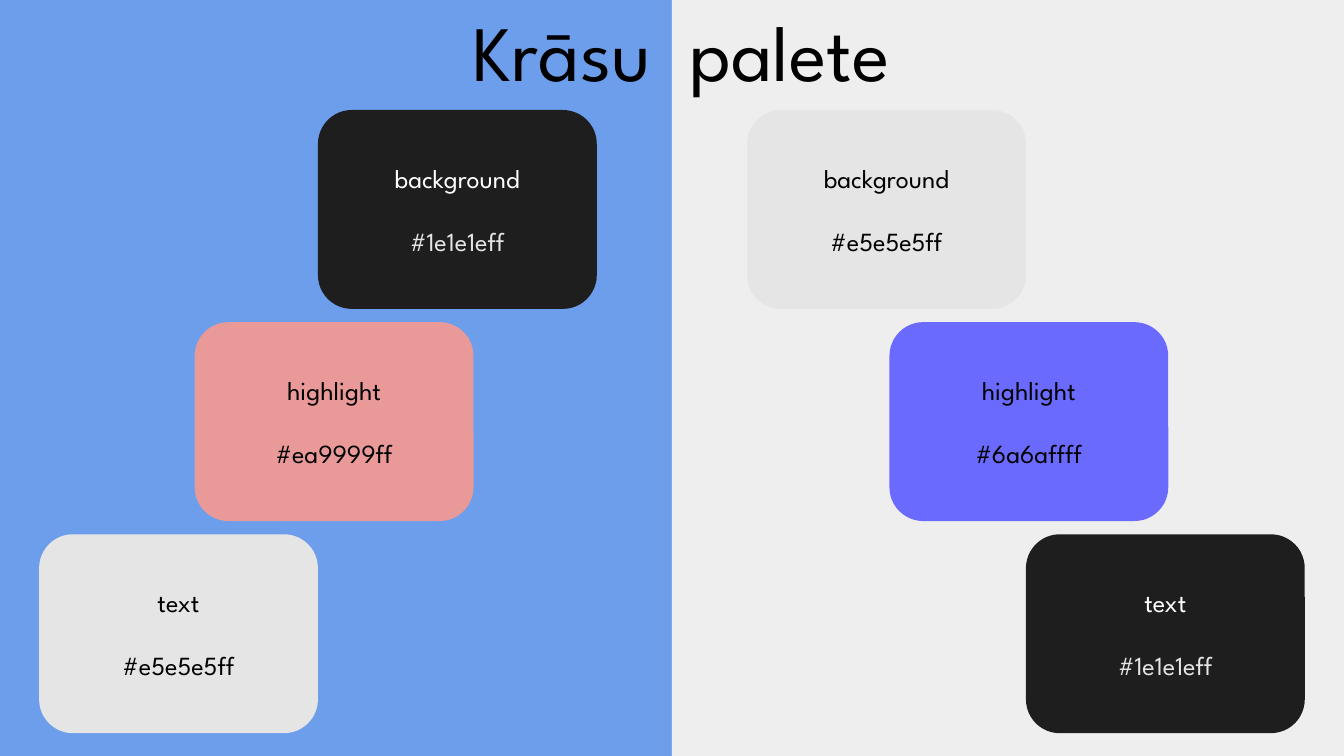
"""Build the colour palette slide with a dark and a light theme side by side."""
from pptx import Presentation
from pptx import util as u
from pptx.dml.color import RGBColor
from pptx.enum import shapes, text

COLOURS = {
    "blue": "6D9EEB", "pale": "EEEEEE", "black": "000000", "white": "FFFFFF",
    "dark": "1E1E1E", "light": "E5E5E5", "pink": "EA9999", "violet": "6A6AFF",
}
FONT = "League Spartan"
TITLE = ("Krāsu", " ", "palete")
ROWS = [
    ("background", (6.01, "dark"), (14.12, "light")),
    ("highlight", (3.68, "pink"), (16.81, "violet")),
    ("text", (0.74, "light"), (19.39, "dark")),
]
WIDTH, HEIGHT = 25.4, 14.29
CARD_WIDTH, CARD_HEIGHT = 5.27, 3.76
FIRST_TOP, ROW_STEP = 2.08, 4.01
INSET = 0.25


def colour(name):
    return RGBColor.from_string(COLOURS[name])


def add_block(page, kind, left, top, width, height, fill):
    block = page.shapes.add_shape(kind, *map(u.Cm, (left, top, width, height)))
    block.shadow.inherit = False
    block.fill.solid()
    block.fill.fore_color.rgb = colour(fill)
    block.line.fill.background()
    return block


def set_frame(box, anchor):
    frame = box.text_frame
    frame.word_wrap = True
    frame.auto_size = text.MSO_AUTO_SIZE.NONE
    frame.vertical_anchor = anchor
    frame.margin_left = frame.margin_right = u.Cm(INSET)
    frame.margin_top = frame.margin_bottom = u.Cm(INSET)
    return frame


def style(para, size, name):
    para.alignment = text.PP_ALIGN.CENTER
    para.font.name = FONT
    para.font.size = u.Pt(size)
    para.font.color.rgb = colour(name)


def add_title(page):
    box = page.shapes.title
    box.left, box.top, box.width, box.height = map(u.Cm, (7.26, -0.28, 11.23, 2.36))
    para = set_frame(box, text.MSO_ANCHOR.BOTTOM).paragraphs[0]
    style(para, 42, "black")
    for part in TITLE:
        span = para.add_run()
        span.text = part
        if part == " ":
            span._r.get_or_add_rPr().set("spc", "1000")


def add_card(page, label, left, top, fill):
    card = add_block(page, shapes.MSO_SHAPE.ROUNDED_RECTANGLE,
                     left, top, CARD_WIDTH, CARD_HEIGHT, fill)
    card.adjustments[0] = 0.17
    frame = set_frame(card, text.MSO_ANCHOR.MIDDLE)
    frame.text = f"{label}\n#{COLOURS[fill].lower()}ff"
    inks = ("white", "light") if fill == "dark" else ("black", "black")
    for para, ink in zip(frame.paragraphs, inks):
        style(para, 14, ink)
    frame.paragraphs[1].space_before = u.Pt(16.7)


def main():
    deck = Presentation()
    deck.slide_width, deck.slide_height = u.Cm(WIDTH), u.Cm(HEIGHT)
    page = deck.slides.add_slide(deck.slide_layouts[5])
    page.background.fill.solid()
    page.background.fill.fore_color.rgb = colour("blue")

    half = add_block(page, shapes.MSO_SHAPE.RECTANGLE,
                     WIDTH / 2, 0, WIDTH / 2, HEIGHT, "pale")
    page.shapes.title._element.addprevious(half._element)
    add_title(page)
    for row, (label, *cards) in enumerate(ROWS):
        for left, fill in cards:
            add_card(page, label, left, FIRST_TOP + row * ROW_STEP, fill)
    deck.save("out.pptx")


if __name__ == "__main__":
    main()
